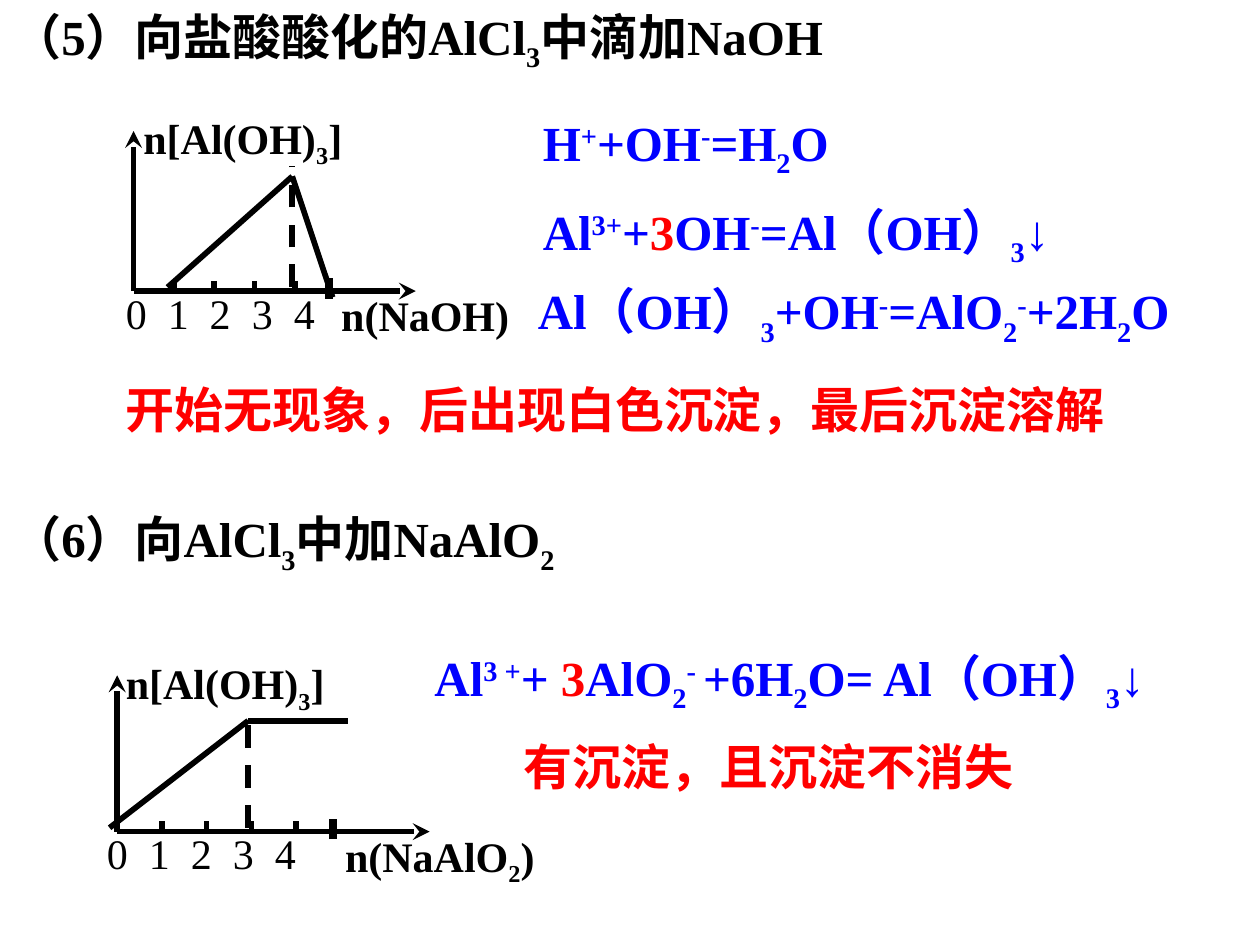
from dataclasses import dataclass
from typing import Any

from lxml import etree
from pptx import Presentation
from pptx.dml.color import RGBColor
from pptx.enum.dml import MSO_LINE
from pptx.enum.shapes import MSO_CONNECTOR
from pptx.enum.text import MSO_AUTO_SIZE
from pptx.oxml.ns import qn
from pptx.util import Inches, Pt

STRAIGHT = MSO_CONNECTOR.STRAIGHT
DASH = MSO_LINE.DASH
GROW = MSO_AUTO_SIZE.SHAPE_TO_FIT_TEXT
FIXED = MSO_AUTO_SIZE.NONE
BLACK, BLUE, RED = "000000", "0000FF", "FF0000"
BASELINES = {"^": "30000", "_": "-25000"}


def colour(value):
    return RGBColor.from_string(value)


@dataclass
class Lesson:
    """Draws the text, lines and precipitation graphs of one slide."""
    page: Any
    font: str = "Times New Roman"
    line_width: float = 3.25

    def text(self, left, top, width, height, formula, color=BLACK, size=28,
             bold=True, shapes=None, fit=GROW, tab_step=None):
        box = (shapes or self.page.shapes).add_textbox(
            Inches(left), Inches(top), Inches(width), Inches(height))
        frame = box.text_frame
        frame.word_wrap = True
        frame.auto_size = fit
        para = frame.paragraphs[0]
        if tab_step:
            self.tabs(para, tab_step, formula.count("\t"))
        for part in formula.split("|"):
            mark = part[0] if part[0] in "^_*" else ""
            span = para.add_run()
            span.text = part[len(mark):]
            span.font.name = self.font
            span.font.size = Pt(size)
            span.font.bold = bold
            span.font.color.rgb = colour(RED if mark == "*" else color)
            if mark in BASELINES:
                span._r.get_or_add_rPr().set("baseline", BASELINES[mark])

    def tabs(self, para, step, count):
        stops = etree.SubElement(para._p.get_or_add_pPr(), qn("a:tabLst"))
        for number in range(1, count + 1):
            etree.SubElement(stops, qn("a:tab"),
                             pos=str(Inches(step * number)), algn="l")

    def line(self, shapes, start, end, width=None, dashed=False, arrow=False):
        line = shapes.add_connector(
            STRAIGHT, *(Inches(value) for value in (*start, *end)))
        line.line.color.rgb = colour(BLACK)
        line.line.width = Pt(width or self.line_width)
        if dashed:
            line.line.dash_style = DASH
        if arrow:
            etree.SubElement(line.line._get_or_add_ln(), qn("a:tailEnd"),
                             type="stealth")
        etree.SubElement(line._element.spPr, qn("a:effectLst"))

    def graph(self, origin, axis_end, axis_top, curve, tick_step, last_tick,
              label_width, numbers, x_label, y_label):
        shapes = self.page.shapes.add_group_shape().shapes
        x, y = origin
        peak_x, peak_y = curve[1]
        self.line(shapes, (peak_x, y - 0.03), (peak_x, peak_y - 0.08), dashed=True)
        for start, end in zip(curve, curve[1:]):
            self.line(shapes, start, end)
        self.line(shapes, origin, (axis_end, y), arrow=True)
        self.line(shapes, origin, (x, axis_top), arrow=True)
        for number in range(1, 5):
            tick = x + number * tick_step
            self.line(shapes, (tick, y - 0.08), (tick, y))
        self.line(shapes, (last_tick, y + 0.06), (last_tick, y - 0.1), width=4.5)
        label = dict(size=24, shapes=shapes, fit=FIXED)
        self.text(*numbers, label_width, 0.48, "0\t1\t2\t3\t4", bold=False,
                  tab_step=1 / 3, **label)
        self.text(*x_label[:2], label_width, 0.48, x_label[2], **label)
        self.text(*y_label, label_width, 0.48, "n[Al(OH)|_3|]", **label)


def main():
    deck = Presentation()
    deck.slide_width, deck.slide_height = Inches(10), Inches(7.5)
    lesson = Lesson(deck.slides.add_slide(deck.slide_layouts[6]))

    lesson.text(0, 0, 8.51, 0.63, "（5）向盐酸酸化的AlCl|_3|中滴加NaOH")
    lesson.graph(origin=(1.06, 2.31), axis_end=3.3, axis_top=1.04,
                 curve=[(1.33, 2.28), (2.32, 1.4), (2.64, 2.36)],
                 tick_step=0.32, last_tick=2.61, label_width=1.84,
                 numbers=(0.9, 2.23), x_label=(2.61, 2.25, "n(NaOH)"),
                 y_label=(1.04, 0.84))
    lesson.text(0, 3.99, 8.03, 0.63, "（6）向AlCl|_3|中加NaAlO|_2")
    lesson.graph(origin=(0.93, 6.6), axis_end=3.41, axis_top=5.36,
                 curve=[(0.87, 6.57), (1.97, 5.72), (2.76, 5.72)],
                 tick_step=0.355, last_tick=2.64, label_width=2.04,
                 numbers=(0.75, 6.52), x_label=(2.64, 6.54, "n(NaAlO|_2|)"),
                 y_label=(0.9, 5.17))

    lesson.text(4.21, 0.84, 5.12, 0.63, "H|^+|+OH|^-|=H|_2|O", BLUE)
    lesson.text(4.21, 1.55, 4.96, 0.63,
                "Al|^3+|+|*3|OH|^-|=Al（OH）|_3|↓", BLUE)
    lesson.text(4.17, 2.18, 5.79, 0.63,
                "Al（OH）|_3|+OH|^-|=AlO|_2|^-|+2H|_2|O", BLUE)
    lesson.text(0.9, 2.96, 8.58, 0.57,
                "开始无现象，后出现白色沉淀，最后沉淀溶解", RED)
    lesson.text(3.35, 5.09, 6.34, 0.63,
                "Al|^3 +|+ |*3|AlO|_2|^- |+6H|_2|O= Al（OH）|_3|↓", BLUE)
    lesson.text(4.06, 5.8, 5.43, 0.57, "有沉淀，且沉淀不消失", RED)

    deck.save("out.pptx")


if __name__ == "__main__":
    main()
